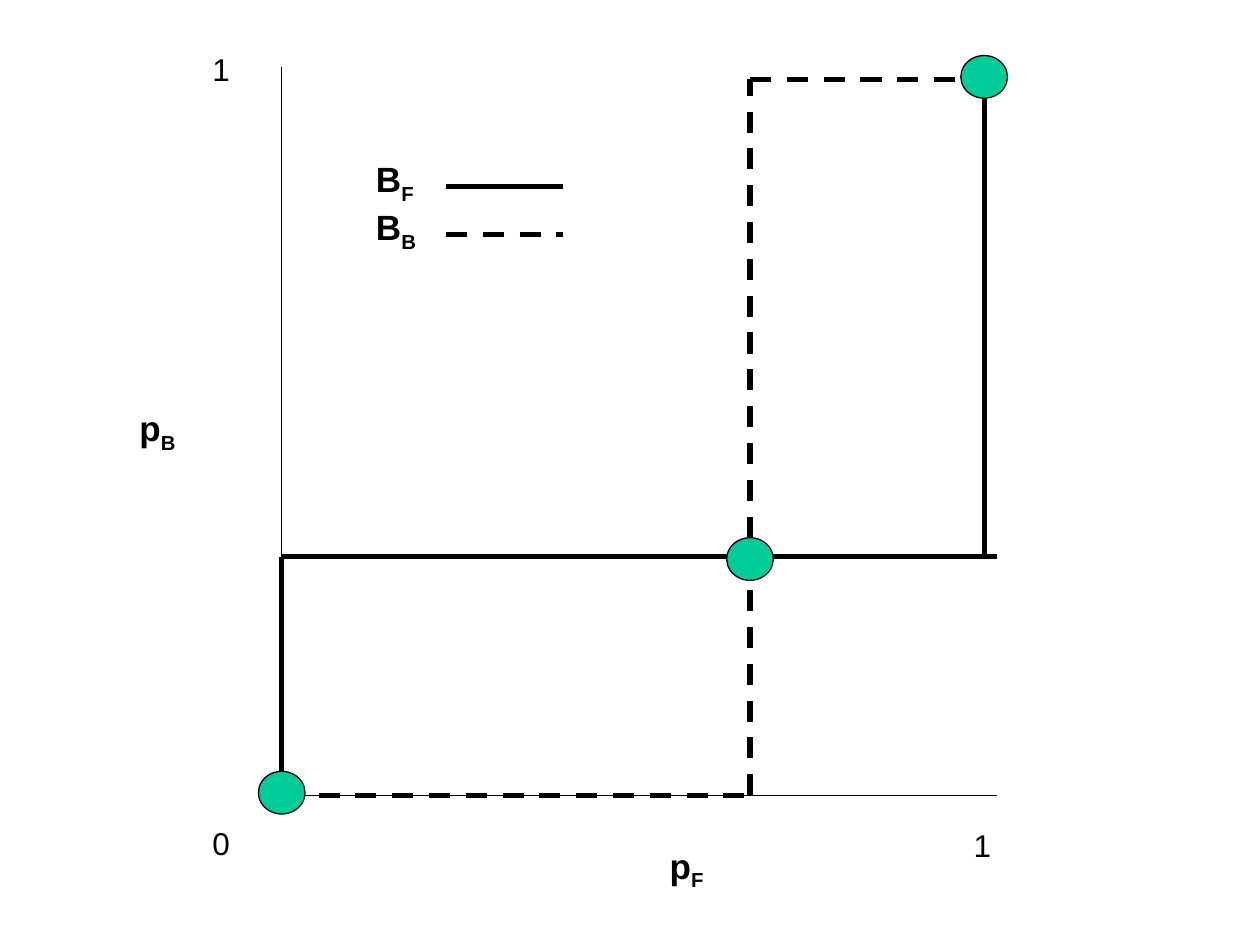
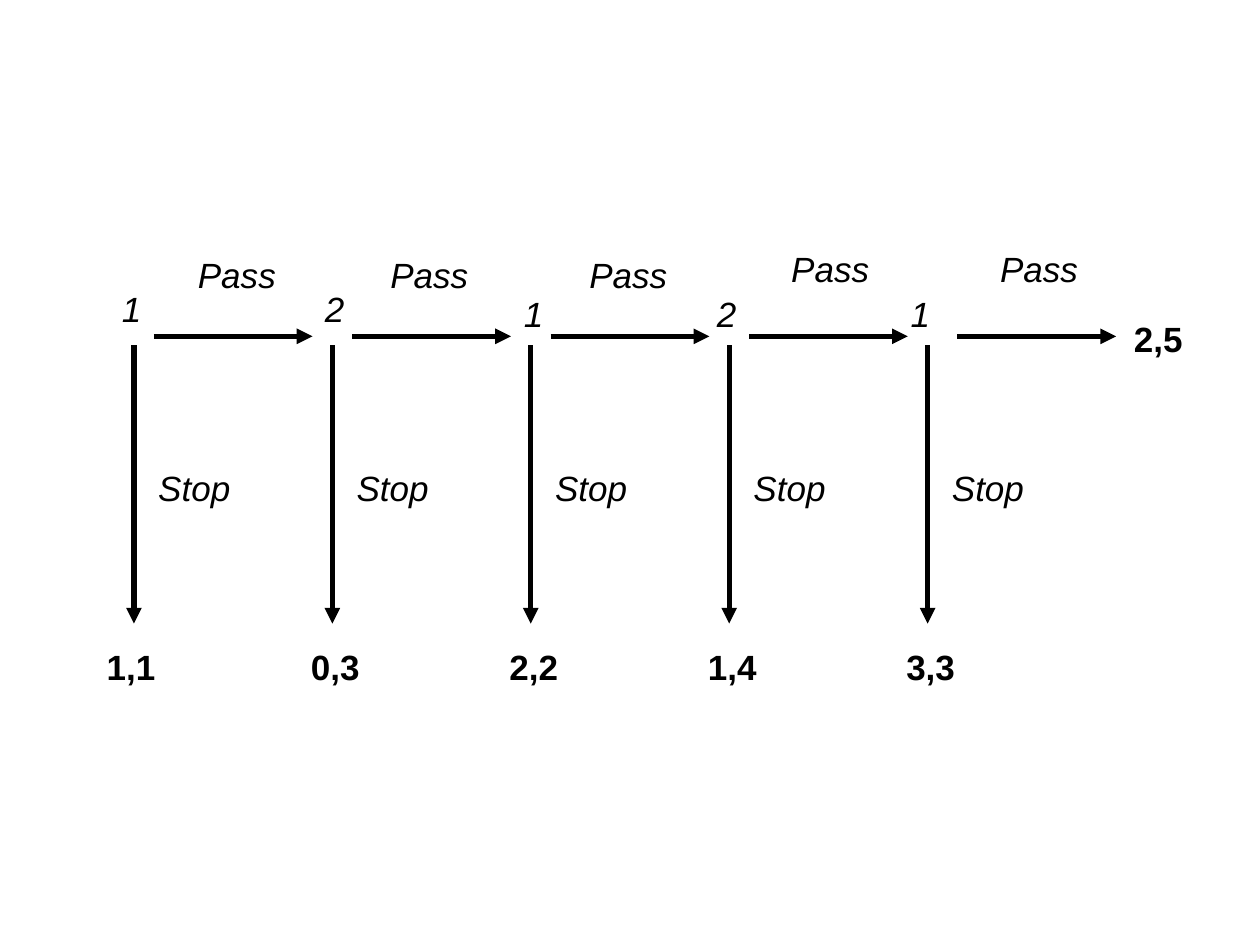
from itertools import pairwise

from lxml.etree import SubElement
from pptx import Presentation
from pptx.dml.color import RGBColor
from pptx.enum.dml import MSO_LINE
from pptx.enum.shapes import MSO_CONNECTOR, MSO_SHAPE
from pptx.enum.text import MSO_AUTO_SIZE
from pptx.oxml.ns import qn
from pptx.util import Cm, Pt

BLACK = "000000"
GREEN = "00CC99"
THIN, THICK = 0.75, 3

TICK = {"name": "Arial", "size": Pt(18)}
BOLD = {"name": "Arial", "size": Pt(20), "bold": True}
ITALIC = {"name": "Arial", "size": Pt(20), "italic": True}


def paint(target, color):
    """Give a fill or a font a solid colour."""
    if hasattr(target, "solid"):
        target.solid()
        target.fore_color.rgb = RGBColor.from_string(color)
    else:
        target.color.rgb = RGBColor.from_string(color)


def add_line(slide, start, end, width=THICK, dash=False, arrow=False):
    line = slide.shapes.add_connector(
        MSO_CONNECTOR.STRAIGHT, *(Cm(v) for v in (*start, *end)))
    paint(line.line.fill, BLACK)
    line.line.width = Pt(width)
    if dash:
        line.line.dash_style = MSO_LINE.DASH
    props = line.element.spPr
    if arrow:
        SubElement(props.find(qn("a:ln")), qn("a:tailEnd"), type="triangle")
    SubElement(props, qn("a:effectLst"))


def add_chain(slide, points, **style):
    """Join each point to the next one."""
    for start, end in pairwise(points):
        add_line(slide, start, end, **style)


def add_dot(slide, x, y, width=0.94, height=0.86):
    """Draw an ellipse centred on x, y."""
    dot = slide.shapes.add_shape(
        MSO_SHAPE.OVAL, Cm(x - width / 2), Cm(y - height / 2),
        Cm(width), Cm(height))
    dot.shadow.inherit = False
    paint(dot.fill, GREEN)
    paint(dot.line.fill, BLACK)
    dot.line.width = Pt(THIN)


def add_label(slide, text, left, top, width, height, style, wrap=False):
    """Write text; what follows "_" in a line is set as a subscript."""
    box = slide.shapes.add_textbox(Cm(left), Cm(top), Cm(width), Cm(height))
    frame = box.text_frame
    frame.word_wrap = wrap
    frame.auto_size = MSO_AUTO_SIZE.SHAPE_TO_FIT_TEXT
    for row, words in enumerate(text.split("\n")):
        para = frame.paragraphs[0] if row == 0 else frame.add_paragraph()
        for level, part in enumerate(words.split("_")):
            run = para.add_run()
            run.text = part
            for key, value in style.items():
                setattr(run.font, key, value)
            paint(run.font, BLACK)
            if level:
                run.font._element.set("baseline", "-25000")


def draw_replies(slide):
    """Best replies of both players, with their three crossings."""
    left, mix, one, right = 5.68, 15.12, 19.84, 20.09
    base, half, full, top = 16.03, 11.22, 1.6, 1.36

    add_chain(slide, [(left, top), (left, base), (right, base)], width=THIN)
    add_chain(slide, [(left, base), (left, half), (right, half)])
    add_chain(slide, [(one, half), (one, (half + full) / 2), (one, full)])
    add_chain(slide, [(mix, base), (mix, full), (right, full)], dash=True)
    add_line(slide, (left, base), (mix, base), dash=True)

    for x, y in ((left, 15.98), (mix, 11.27), (one, 1.55)):
        add_dot(slide, x, y)

    add_label(slide, "p_B", 2.56, 8.08, 1.27, 1.22, BOLD)
    add_label(slide, "p_F", 13.25, 16.89, 1.25, 1.22, BOLD)
    for text, x, y in (("0", 4.03, 16.48), ("1", 19.38, 16.52),
                       ("1", 4.03, 0.89)):
        add_label(slide, text, x, y, 0.87, 1.02, TICK)

    add_label(slide, "B_F\nB_B", 7.33, 3.05, 1.6, 2.18, BOLD, wrap=True)
    for y, dash in ((3.76, False), (4.72, True)):
        add_line(slide, (8.99, y), (11.35, y), dash=dash)


def draw_game(slide):
    """Moves of two players who pass or stop in turn."""
    first, step, row = 2.7, 4, 6.78
    # player, its place, start of arrow, place of "Pass", payoff and its left
    nodes = [
        ("1", 2.21, 5.67, 3.1, 3.74, 4.98, "1,1", 1.9),
        ("2", 6.3, 5.67, 7.1, 7.62, 4.98, "0,3", 6.02),
        ("1", 10.31, 5.77, 11.1, 11.63, 4.98, "2,2", 10.02),
        ("2", 14.2, 5.77, 15.1, 15.7, 4.87, "1,4", 14.02),
        ("1", 18.11, 5.77, 19.3, 19.91, 4.87, "3,3", 18.02),
    ]
    for index, node in enumerate(nodes):
        who, who_x, who_y, start, pass_x, pass_y, pay, pay_x = node
        x = first + index * step
        add_line(slide, (x, 6.96), (x, 12.57), arrow=True)
        add_line(slide, (start, row), (start + 3.2, row), arrow=True)
        add_label(slide, pay, pay_x, 12.88, 1.52, 1.11, BOLD)
        add_label(slide, "Stop", x + 0.24, 9.27, 1.98, 1.11, ITALIC)
        add_label(slide, "Pass", pass_x, pass_y, 2.1, 1.11, ITALIC)
        add_label(slide, who, who_x, who_y, 0.9, 1.11, ITALIC)
    add_label(slide, "2,5", 22.61, 6.27, 1.52, 1.11, BOLD)


def main():
    deck = Presentation()
    deck.slide_width, deck.slide_height = Cm(25.4), Cm(19.05)
    for draw in (draw_replies, draw_game):
        draw(deck.slides.add_slide(deck.slide_layouts[6]))
    deck.save("out.pptx")


if __name__ == "__main__":
    main()
